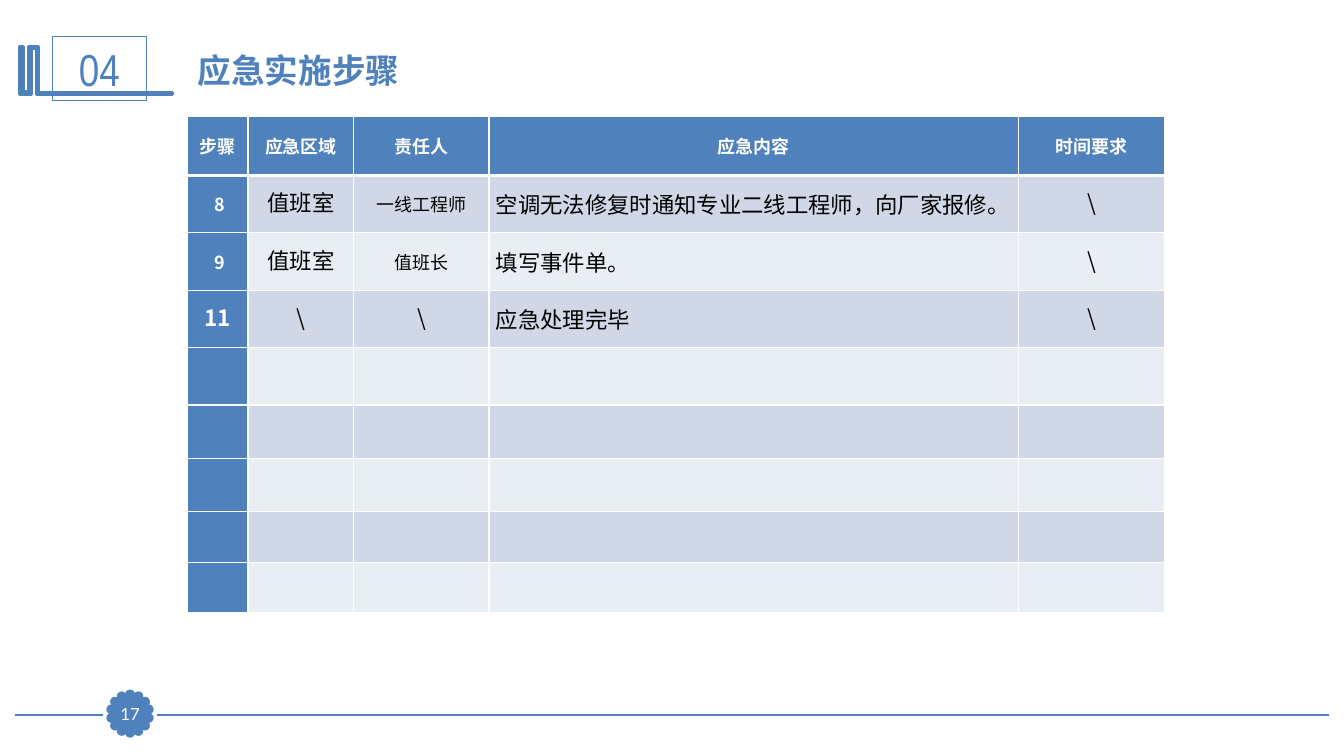
from math import cos, pi, sin

from pptx import Presentation
from pptx.dml.color import RGBColor
from pptx.enum.shapes import MSO_CONNECTOR, MSO_SHAPE
from pptx.enum.text import MSO_ANCHOR, MSO_AUTO_SIZE, PP_ALIGN
from pptx.oxml.ns import qn
from pptx.util import Inches, Pt
from lxml.etree import SubElement

BLUE = RGBColor(0x4F, 0x81, 0xBD)
GREEN = RGBColor(0x33, 0x99, 0x33)
WHITE = RGBColor(0xFF, 0xFF, 0xFF)
BLACK = RGBColor(0, 0, 0)
BANDS = [RGBColor(0xD0, 0xD8, 0xE8), RGBColor(0xE9, 0xED, 0xF4)]

SANS = "Noto Sans CJK SC"
TITLE = "应急实施步骤"
HEAD = ["步骤", "应急区域", "责任人", "应急内容", "时间要求"]
STEPS = [
    [" 8", "值班室", "一线工程师", "空调无法修复时通知专业二线工程师，向厂家报修。", "\\"],
    [" 9", "值班室", "值班长", "填写事件单。", "\\"],
    ["11", "\\", "\\", "应急处理完毕", "\\"],
]
BLANKS = 5
SMALL = {(1, 0), (1, 2), (2, 0), (2, 2)}
COLS = [0.6, 1.05, 1.34, 5.25, 1.45]
ROWS = [0.59] + [0.57] * 4 + [0.53] * 2 + [0.5] * 2
RULES = [(13.18, 1.56), (1.02, 0.15)]
RULE_Y = 7.09
DOTS, DOT, RING, HUB = 14, 0.07, 0.19, (1.29, 7.08)
MARK = [
    (0.37, 0.46), (0.38, 0.46), (0.38, 0.92), (1.71, 0.92), (1.71, 0.94),
    (0.36, 0.94), (0.36, 0.48), (0.31, 0.48), (0.31, 0.94), (0.19, 0.94),
    (0.19, 0.46), (0.23, 0.46), (0.23, 0.91), (0.28, 0.91), (0.28, 0.46),
]
PAD = {"margin_left": Inches(0.07), "margin_right": Inches(0.07),
       "margin_top": 0, "margin_bottom": 0,
       "vertical_anchor": MSO_ANCHOR.MIDDLE}
FLAT = {"margin_left": 0, "margin_right": 0, "margin_top": 0, "margin_bottom": 0}


def put(item, form):
    """Set each attribute in the format dict."""
    for key, value in form.items():
        setattr(item, key, value)


def write(frame, text, size, face, color, bold=False, align=PP_ALIGN.CENTER, small=False):
    """Write one formatted line of text."""
    para = frame.paragraphs[0]
    para.alignment = align
    run = para.add_run()
    run.text = text
    put(run.font, {"size": Pt(size), "name": face, "bold": bold})
    run.font.color.rgb = color
    props = run.font._element
    SubElement(props, qn("a:ea"), typeface=face)
    if small:
        props.set("cap", "small")
    return para


def paint(shape, fill, width):
    """Give a shape its fill and blue outline."""
    shape.shadow.inherit = False
    if fill is None:
        shape.fill.background()
    else:
        shape.fill.solid()
        shape.fill.fore_color.rgb = fill
    shape.line.color.rgb = BLUE
    shape.line.width = Pt(width)


def edge(cell, row):
    """Draw white borders, thick under the header."""
    props = cell._tc.get_or_add_tcPr()
    thick = {("B", 0), ("T", 1)}
    for side in "LRTB":
        width = Pt(3 if (side, row) in thick else 1)
        line = SubElement(props, qn(f"a:ln{side}"), w=str(width))
        fill = SubElement(line, qn("a:solidFill"))
        SubElement(fill, qn("a:srgbClr"), val=str(WHITE))


def draw_rules(shapes):
    """Draw the two footer lines."""
    for start, end in RULES:
        rule = shapes.add_connector(MSO_CONNECTOR.STRAIGHT, Inches(start), Inches(RULE_Y),
                                    Inches(end), Inches(RULE_Y))
        rule.line.color.rgb = BLUE
        rule.line.width = Pt(1.25)
        SubElement(rule._element.spPr, qn("a:effectLst"))


def draw_badge(shapes):
    """Draw the ring of dots and the page number."""
    ring = shapes.add_group_shape().shapes
    for k in range(DOTS):
        turn = 2 * pi * k / DOTS
        left = HUB[0] + RING * sin(turn) - DOT / 2
        top = HUB[1] - RING * cos(turn) - DOT / 2
        dot = ring.add_shape(MSO_SHAPE.OVAL, Inches(left), Inches(top), Inches(DOT), Inches(DOT))
        paint(dot, BLUE, 2)
    page = shapes.add_shape(MSO_SHAPE.RECTANGLE, Inches(1.13), Inches(6.93),
                            Inches(0.32), Inches(0.31))
    paint(page, BLUE, 0.75)
    put(page.text_frame, FLAT)
    write(page.text_frame, "17", 12, "Lato", WHITE)


def draw_mark(shapes):
    """Draw the bracket and the chapter number."""
    points = [(Inches(x), Inches(y)) for x, y in MARK]
    pen = shapes.build_freeform(*points[0])
    pen.add_line_segments(points[1:], close=True)
    paint(pen.convert_to_shape(), GREEN, 2)
    box = shapes.add_shape(MSO_SHAPE.RECTANGLE, Inches(0.52), Inches(0.36),
                           Inches(0.93), Inches(0.64))
    paint(box, None, 0.75)
    write(box.text_frame, "04", 32, "Arial Narrow", BLUE)


def draw_title(title):
    """Place the slide title."""
    put(title, {"left": Inches(1.86), "top": Inches(0.44),
                "width": Inches(9.69), "height": Inches(0.51)})
    put(title.text_frame, {"vertical_anchor": MSO_ANCHOR.TOP, "word_wrap": True,
                           "auto_size": MSO_AUTO_SIZE.SHAPE_TO_FIT_TEXT})
    write(title.text_frame, TITLE, 24, SANS, BLUE, True, PP_ALIGN.LEFT)


def draw_table(shapes):
    """Build the table of steps."""
    table = shapes.add_table(len(ROWS), len(COLS), Inches(1.86), Inches(1.15),
                             Inches(sum(COLS)), Inches(sum(ROWS))).table
    for col, width in zip(table.columns, COLS):
        col.width = Inches(width)
    for row, height in zip(table.rows, ROWS):
        row.height = Inches(height)
    lines = [HEAD] + STEPS + [[""] * len(COLS)] * BLANKS
    for r, line in enumerate(lines):
        for c, text in enumerate(line):
            cell = table.cell(r, c)
            dark = r == 0 or c == 0
            edge(cell, r)
            cell.fill.solid()
            cell.fill.fore_color.rgb = BLUE if dark else BANDS[(r - 1) % 2]
            put(cell, PAD)
            if not text:
                continue
            body = r > 0 and c == 3
            para = write(cell.text_frame, text, 16, SANS, WHITE if dark else BLACK, dark,
                         PP_ALIGN.LEFT if body else PP_ALIGN.CENTER,
                         r == 0 or (r, c) in SMALL)
            if not body:
                para.line_spacing = Pt(20)


def main():
    """Build and save the slide."""
    deck = Presentation()
    put(deck, {"slide_width": Inches(13.33), "slide_height": Inches(7.5)})
    slide = deck.slides.add_slide(deck.slide_layouts[5])
    shapes = slide.shapes
    draw_rules(shapes)
    draw_badge(shapes)
    draw_mark(shapes)
    draw_title(shapes.title)
    draw_table(shapes)
    deck.save("out.pptx")


if __name__ == "__main__":
    main()
